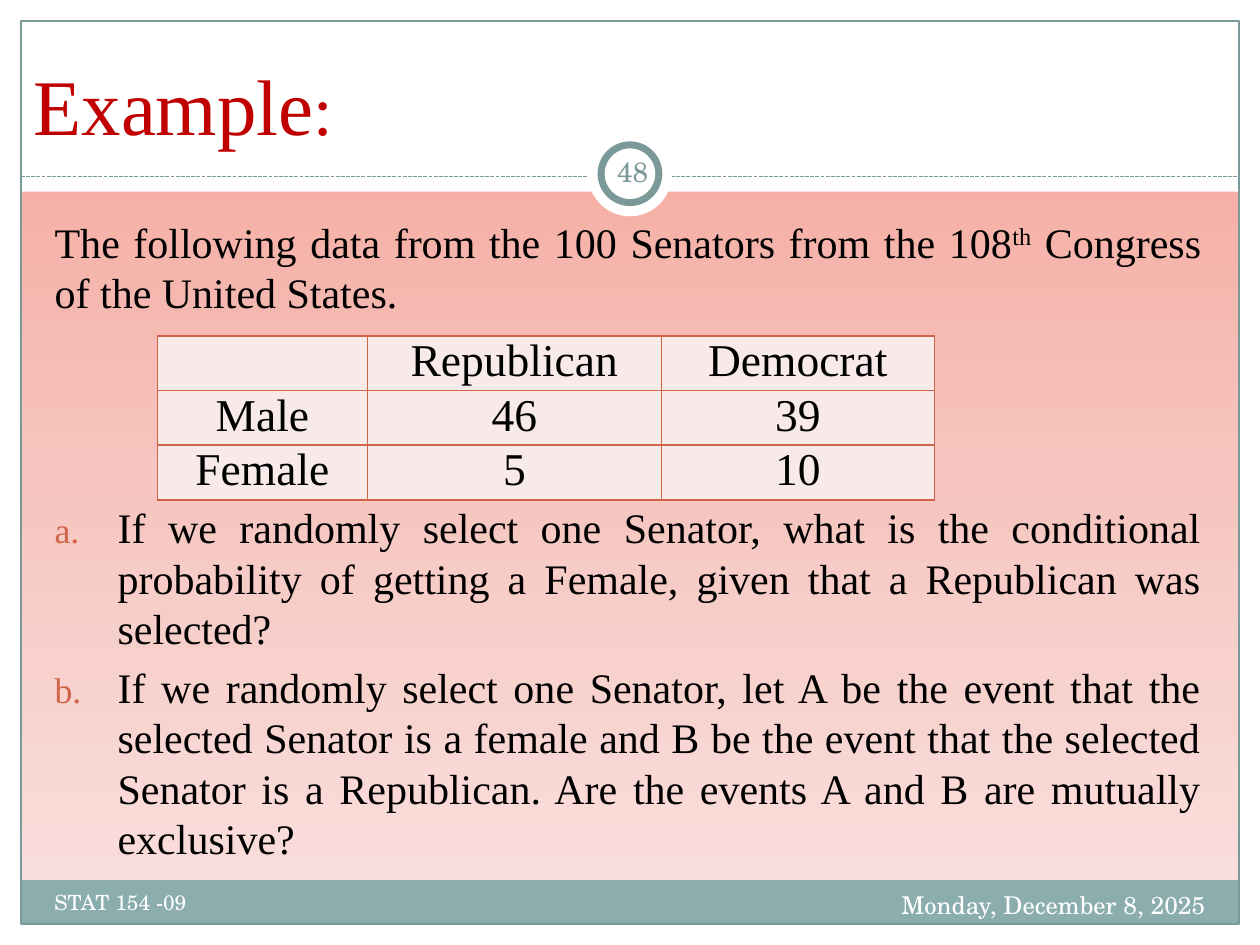
from copy import deepcopy
from dataclasses import dataclass

from lxml.etree import SubElement
from pptx import Presentation
from pptx.dml.color import RGBColor
from pptx.enum.dml import MSO_LINE
from pptx.enum.shapes import MSO_CONNECTOR, MSO_SHAPE
from pptx.enum.text import MSO_ANCHOR, MSO_AUTO_SIZE, PP_ALIGN
from pptx.oxml.ns import qn
from pptx.util import Pt

WIDTH, HEIGHT = 720, 540
SERIF, SCHOOL = "Times New Roman", "TeX Gyre Schola"
WHITE, BLACK, RED, TEAL, ORANGE = "FFFFFF", "000000", "C00000", "7C999A", "D16349"
LINE_PITCH, PARA_GAP = 28.8, 4.8


@dataclass
class Panel:
    left: float
    top: float
    width: float
    height: float
    fill: str | None = WHITE
    line: str | None = None
    weight: float = 0.75
    kind: MSO_SHAPE = MSO_SHAPE.RECTANGLE


@dataclass
class Label:
    text: str
    left: float
    top: float
    width: float
    height: float
    size: float
    color: str = WHITE
    align: PP_ALIGN = PP_ALIGN.LEFT
    anchor: MSO_ANCHOR = MSO_ANCHOR.TOP
    inset: tuple[float, float] = (7.2, 3.6)


def rgb(value: str) -> RGBColor:
    return RGBColor.from_string(value)


def apply(target, values: dict) -> None:
    for name, value in values.items():
        setattr(target, name, value)


def place(shape, left: float, top: float, width: float, height: float) -> None:
    apply(shape, dict(left=Pt(left), top=Pt(top), width=Pt(width), height=Pt(height)))


def add_span(para, text: str, size: float, color: str, font: str = SERIF):
    span = para.add_run()
    span.text = text
    apply(span.font, {"size": Pt(size), "name": font})
    span.font.color.rgb = rgb(color)
    return span


def add_panel(page, panel: Panel) -> None:
    shape = page.shapes.add_shape(panel.kind, 0, 0, 0, 0)
    place(shape, panel.left, panel.top, panel.width, panel.height)
    shape.shadow.inherit = False
    if panel.fill:
        shape.fill.solid()
        shape.fill.fore_color.rgb = rgb(panel.fill)
    else:
        shape.fill.background()
    if panel.line:
        shape.line.color.rgb = rgb(panel.line)
        shape.line.width = Pt(panel.weight)
    else:
        shape.line.fill.background()


def add_divider(page, left: float, right: float, top: float) -> None:
    line = page.shapes.add_connector(
        MSO_CONNECTOR.STRAIGHT, Pt(left), Pt(top), Pt(right), Pt(top))
    line.line.color.rgb = rgb(TEAL)
    apply(line.line, {"width": Pt(0.75), "dash_style": MSO_LINE.SQUARE_DOT})
    line.line.dash_style = MSO_LINE.SQUARE_DOT
    line.element.spPr.find(qn("a:ln")).find(qn("a:prstDash")).set("val", "sysDash")
    SubElement(line.element.spPr, qn("a:effectLst"))


def add_label(page, label: Label) -> None:
    box = page.shapes.add_textbox(0, 0, 0, 0)
    place(box, label.left, label.top, label.width, label.height)
    across, down = map(Pt, label.inset)
    apply(box.text_frame, dict(
        word_wrap=True, vertical_anchor=label.anchor, margin_left=across,
        margin_right=across, margin_top=down, margin_bottom=down))
    para = box.text_frame.paragraphs[0]
    para.alignment = label.align
    add_span(para, label.text, label.size, label.color, SCHOOL)


def set_background(page) -> None:
    fill = page.background.fill
    fill.gradient()
    fill.gradient_angle = 270
    first = page.element.find(".//" + qn("a:gs"))
    first.addnext(deepcopy(first))
    colors = ("F4A095", "F6C5BF", "FAE2E0")
    for index, (stop, color) in enumerate(zip(fill.gradient_stops, colors)):
        stop.color.rgb = rgb(color)
        stop.position = index / 2


def format_para(para, before: float, indent: float, numbered: bool) -> None:
    apply(para, dict(alignment=PP_ALIGN.JUSTIFY, space_before=Pt(before),
                     line_spacing=Pt(LINE_PITCH)))
    props = para._p.get_or_add_pPr()
    props.set("marL", str(Pt(indent)))
    props.set("indent", str(-Pt(indent)))
    if numbered:
        SubElement(SubElement(props, qn("a:buClr")), qn("a:srgbClr"), val=ORANGE)
        SubElement(props, qn("a:buSzPct"), val="85000")
        SubElement(props, qn("a:buAutoNum"), type="alphaLcPeriod")
    else:
        SubElement(props, qn("a:buNone"))


def fill_title(title) -> None:
    place(title, 12, 30, 672, 60)
    apply(title.text_frame, dict(
        vertical_anchor=MSO_ANCHOR.BOTTOM, auto_size=MSO_AUTO_SIZE.NONE))
    para = title.text_frame.paragraphs[0]
    para.alignment = PP_ALIGN.LEFT
    add_span(para, "Example", 45, RED)
    add_span(para, ":", 40, RED)


def fill_body(body, questions: list[str]) -> None:
    place(body, 24, 120, 669.6, 360)
    frame = body.text_frame
    apply(frame, dict(vertical_anchor=MSO_ANCHOR.TOP, auto_size=MSO_AUTO_SIZE.NONE))
    intro = frame.paragraphs[0]
    format_para(intro, PARA_GAP, 0, False)
    add_span(intro, "The following data from the 100 Senators from the 108", 24, BLACK)
    ordinal = add_span(intro, "th", 24, BLACK)
    ordinal.font._element.set("baseline", "30000")
    add_span(intro, " Congress of the United States.", 24, BLACK)
    # The first question leaves three lines of room for the table
    table_room = 3 * (LINE_PITCH + PARA_GAP)
    for index, question in enumerate(questions):
        para = frame.add_paragraph()
        format_para(para, PARA_GAP + (0 if index else table_room), 36, True)
        add_span(para, question, 24, BLACK)


def add_borders(cell) -> None:
    props = cell._tc.get_or_add_tcPr()
    for index, side in enumerate(("lnL", "lnR", "lnT", "lnB")):
        line = SubElement(props, qn("a:" + side), w=str(Pt(1)))
        SubElement(SubElement(line, qn("a:solidFill")), qn("a:srgbClr"), val=ORANGE)
        props.insert(index, line)


def add_senate_table(page, rows: list[list[str]], widths: list[float]) -> None:
    table = page.shapes.add_table(
        len(rows), len(widths), Pt(90), Pt(192), Pt(sum(widths)),
        Pt(LINE_PITCH * len(rows))).table
    for column, width in zip(table.columns, widths):
        column.width = Pt(width)
    for row, texts in zip(table.rows, rows):
        row.height = Pt(LINE_PITCH)
        for cell, text in zip(row.cells, texts):
            apply(cell, dict(margin_left=Pt(5), margin_right=Pt(5),
                             margin_top=0, margin_bottom=0))
            cell.fill.solid()
            cell.fill.fore_color.rgb = rgb("F7EAE9")
            add_borders(cell)
            para = cell.text_frame.paragraphs[0]
            para.alignment = PP_ALIGN.CENTER
            if text:
                add_span(para, text, 26, BLACK)


def main() -> None:
    deck = Presentation()
    apply(deck, {"slide_width": Pt(WIDTH), "slide_height": Pt(HEIGHT)})
    page = deck.slides.add_slide(deck.slide_layouts[1])
    title, body = page.placeholders
    set_background(page)

    # White margins, footer band and outer frame
    edge = 12
    for panel in (
        Panel(0, HEIGHT - edge, WIDTH, edge),
        Panel(0, 0, WIDTH, 109.5),
        Panel(0, 0, edge, HEIGHT),
        Panel(WIDTH - edge, 0, edge, HEIGHT),
        Panel(edge, 503, WIDTH - 2 * edge, 25, "8CADAE"),
        Panel(edge, edge, WIDTH - 2 * edge, HEIGHT - 2 * edge, None, TEAL),
    ):
        add_panel(page, panel)

    # Dashed divider with the page number ring
    add_divider(page, edge, WIDTH - edge, 100.8)
    add_panel(page, Panel(336, 75.6, 48, 48, kind=MSO_SHAPE.OVAL))
    add_panel(page, Panel(343.5, 82.8, 33, 33, WHITE, TEAL, 4, MSO_SHAPE.OVAL))

    # Title and text, brought in front of the panels
    for holder in (title, body):
        page.shapes._spTree.append(holder.element)
    fill_title(title)
    fill_body(body, [
        "If we randomly select one Senator, what is the conditional probability "
        "of getting a Female, given that a Republican was selected?",
        "If we randomly select one Senator, let A be the event that the selected "
        "Senator is a female and B be the event that the selected Senator is a "
        "Republican. Are the events A and B are mutually exclusive?",
    ])

    # Footer, page number and table
    for label in (
        Label("Monday, December 8, 2025", 456, 505, 240, 28.8, 14, align=PP_ALIGN.RIGHT),
        Label("STAT 154 -09", 24, 505, 282, 28.8, 12),
        Label("48", 343.5, 80.6, 36, 34.6, 16, TEAL, PP_ALIGN.CENTER,
              MSO_ANCHOR.MIDDLE, (3.6, 3.6)),
    ):
        add_label(page, label)
    add_senate_table(page, [["", "Republican", "Democrat"],
                            ["Male", "46", "39"],
                            ["Female", "5", "10"]], [120, 168, 156])
    deck.save("out.pptx")


if __name__ == "__main__":
    main()
